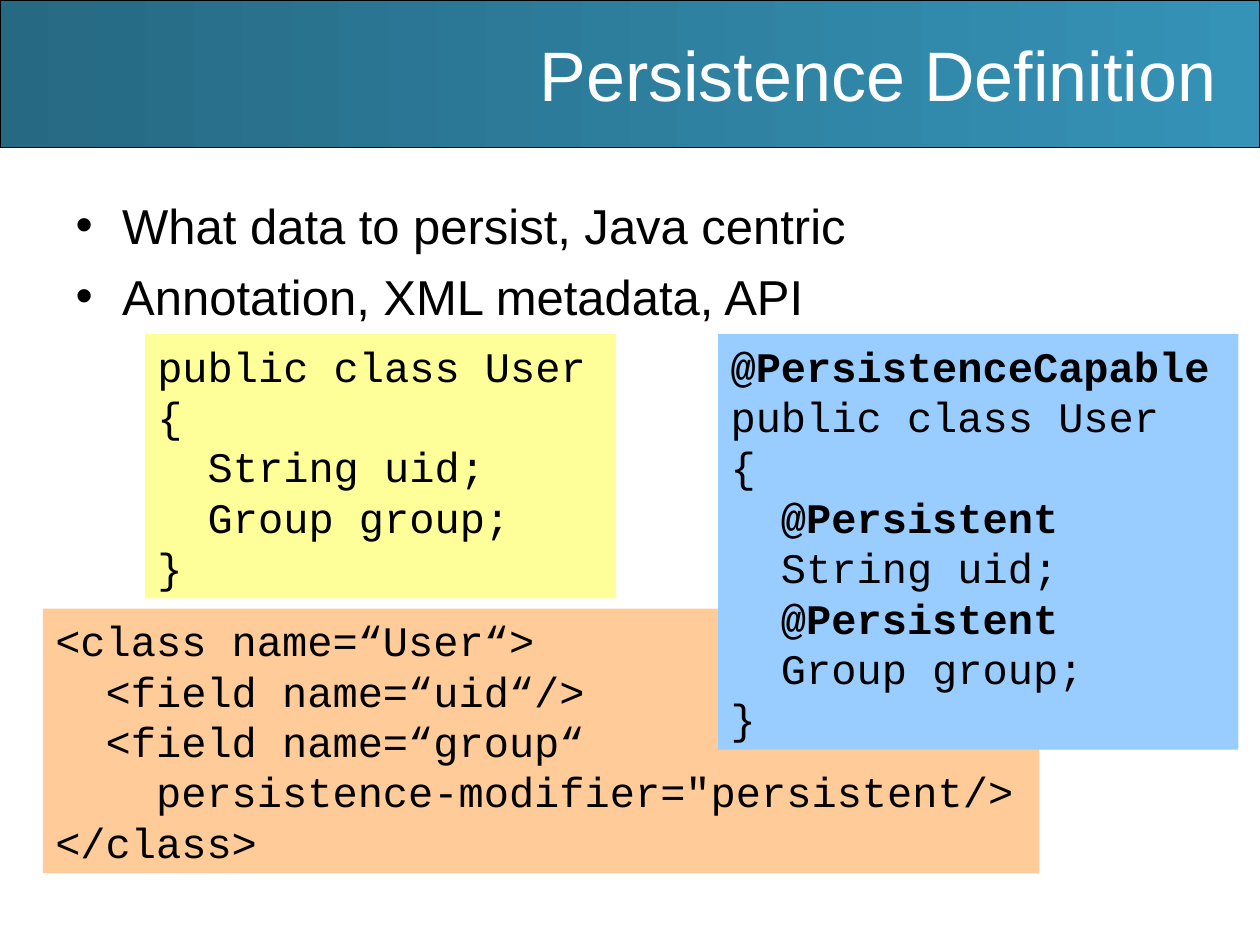
"""Build the Persistence Definition slide."""
from dataclasses import dataclass

import pptx
import pptx.dml.color
import pptx.enum.shapes
import pptx.enum.text
import pptx.oxml
import pptx.oxml.ns
import pptx.util


@dataclass(frozen=True)
class Theme:
    text: str = "000000"
    title: str = "FFFFFF"
    band: tuple = ("266983", "3593B7")
    java: str = "FFFF99"
    xml: str = "FFCC99"
    annotated: str = "99CCFF"
    sans: str = "Arial"
    mono: str = "Courier New"
    title_size: int = 40
    body_size: int = 28
    code_size: int = 24


class Deck:
    def __init__(self, theme):
        self.theme = theme
        self.prs = pptx.Presentation()
        self.prs.slide_width = pptx.util.Inches(10)
        self.prs.slide_height = pptx.util.Inches(7.5)
        self.s = self.prs.slides.add_slide(self.prs.slide_layouts[1])

    def box(self, x, y, w, h):
        """Turn shares of the slide, in percent, into lengths."""
        width, height = self.prs.slide_width, self.prs.slide_height
        return [round(v * side / 100) for v, side in
                ((x, width), (y, height), (w, width), (h, height))]

    def color(self, value):
        return pptx.dml.color.RGBColor.from_string(value)

    def style(self, p, font, size, color):
        for r in p.runs:
            r.font.name = font
            r.font.size = pptx.util.Pt(size)
            r.font.color.rgb = self.color(color)

    def rect(self, *share):
        kind = pptx.enum.shapes.MSO_SHAPE.RECTANGLE
        sp = self.s.shapes.add_shape(kind, *self.box(*share))
        sp.shadow.inherit = False
        return sp

    def place(self, sp, share, anchor):
        sp.left, sp.top, sp.width, sp.height = self.box(*share)
        tf = sp.text_frame
        tf.word_wrap = True
        tf.auto_size = pptx.enum.text.MSO_AUTO_SIZE.NONE
        tf.vertical_anchor = anchor
        return tf

    def band(self, *share):
        sp = self.rect(*share)
        sp.fill.gradient()
        sp.fill.gradient_angle = 0
        for stop, value in zip(sp.fill.gradient_stops, self.theme.band):
            stop.color.rgb = self.color(value)
        sp.line.color.rgb = self.color(self.theme.text)
        sp.line.width = pptx.util.Pt(0.75)
        self.s.shapes._spTree.insert(2, sp._element)

    def title(self, text, *share):
        tf = self.place(self.s.shapes.title, share, pptx.enum.text.MSO_ANCHOR.MIDDLE)
        tf.text = text
        p = tf.paragraphs[0]
        p.alignment = pptx.enum.text.PP_ALIGN.RIGHT
        self.style(p, self.theme.sans, self.theme.title_size, self.theme.title)

    def bullets(self, items, *share):
        tf = self.place(self.s.placeholders[1], share, pptx.enum.text.MSO_ANCHOR.TOP)
        tf.text = "\n".join(items)
        indent = pptx.util.Inches(0.37)
        for p in tf.paragraphs:
            p.space_before = pptx.util.Pt(7)
            self.style(p, self.theme.sans, self.theme.body_size, self.theme.text)
            pr = p._p.get_or_add_pPr()
            pr.set("marL", str(indent))
            pr.set("indent", str(-indent))
            bullet = pptx.oxml.parse_xml(
                f'<a:buChar {pptx.oxml.ns.nsdecls("a")} char="•"/>')
            pr.append(bullet)

    def code(self, text, fill, *share):
        """Draw a listing, with annotations in bold."""
        sp = self.rect(*share)
        sp.fill.solid()
        sp.fill.fore_color.rgb = self.color(fill)
        sp.line.fill.background()
        tf = self.place(sp, share, pptx.enum.text.MSO_ANCHOR.TOP)
        tf.text = text
        for p in tf.paragraphs:
            p.alignment = pptx.enum.text.PP_ALIGN.LEFT
            self.style(p, self.theme.mono, self.theme.code_size, self.theme.text)
            for r in p.runs:
                r.font.bold = r.text.lstrip().startswith("@")


def main():
    theme = Theme()
    deck = Deck(theme)
    deck.band(0, 0, 100, 15.6)
    deck.title("Persistence Definition", 15.8, 1.07, 81.7, 13.33)
    deck.bullets(["What data to persist, Java centric",
                  "Annotation, XML metadata, API"], 5, 20, 90, 15.33)
    deck.code("""public class User
{
  String uid;
  Group group;
}""", theme.java, 11.5, 35.33, 37.4, 28)
    deck.code("""<class name=“User“>
  <field name=“uid“/>
  <field name=“group“
    persistence-modifier="persistent/>
</class>""", theme.xml, 3.4, 64.4, 79.1, 28)
    deck.code("""@PersistenceCapable
public class User
{
  @Persistent
  String uid;
  @Persistent
  Group group;
}""", theme.annotated, 57, 35.33, 41.3, 44)
    deck.prs.save("out.pptx")


if __name__ == "__main__":
    main()
